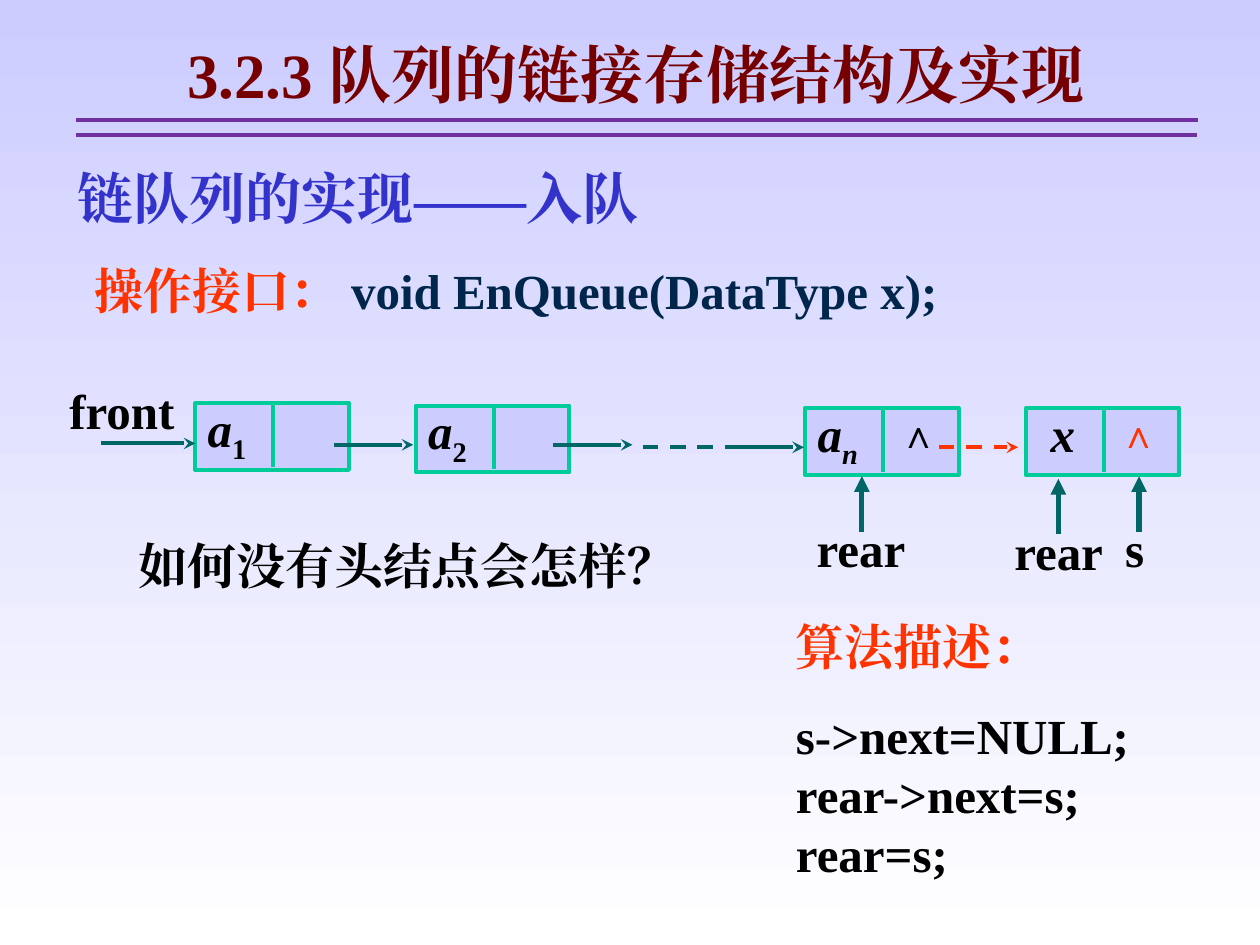
from dataclasses import dataclass

from lxml.etree import SubElement
from pptx import Presentation
from pptx.dml.color import RGBColor
from pptx.enum.dml import MSO_LINE_DASH_STYLE as Dash
from pptx.enum.shapes import MSO_CONNECTOR as Conn, MSO_SHAPE as Shape
from pptx.enum.text import MSO_ANCHOR as Anchor, PP_ALIGN as Align
from pptx.oxml.ns import qn
from pptx.util import Pt

FONT = "Times New Roman"
COLORS = {
    "lavender": "CCCCFF",
    "white": "FFFFFF",
    "green": "00CC99",
    "teal": "006666",
    "red": "FF3300",
    "black": "000000",
    "blue": "3333CC",
    "navy": "00264C",
    "maroon": "760000",
    "purple": "7030A0",
}
NODE_W, NODE_H, SPLIT_X, SPLIT_H = 87.8, 38.2, 44.6, 36.4


@dataclass
class Run:
    text: str
    color: str = "black"
    size: float = 28
    italic: bool = False
    sub: bool = False


@dataclass
class Para:
    runs: list[Run]
    before: float = 0
    spacing: float = 1
    align: Align = Align.LEFT


@dataclass
class Label:
    box: tuple[float, float, float, float]
    paras: list[Para]
    insets: tuple[float, float, float, float] = (7.2, 3.6, 7.2, 3.6)
    anchor: Anchor = Anchor.TOP


@dataclass
class Node:
    x: float
    y: float
    runs: list[Run]
    inset: float = 7.2
    spacing: float = 0.8


@dataclass
class Line:
    start: tuple[float, float]
    end: tuple[float, float]
    color: str = "teal"
    width: float = 2.25
    head: str = ""
    dashed: bool = False


def rgb(name: str) -> RGBColor:
    return RGBColor.from_string(COLORS[name])


def write(sp, paras: list[Para], insets: tuple, anchor: Anchor) -> None:
    tf = sp.text_frame
    tf.word_wrap = True
    tf.vertical_anchor = anchor
    tf.margin_left, tf.margin_top, tf.margin_right, tf.margin_bottom = map(Pt, insets)
    for i, para in enumerate(paras):
        p = tf.add_paragraph() if i else tf.paragraphs[0]
        p.alignment, p.line_spacing = para.align, para.spacing
        if para.before:
            p.space_before = Pt(para.before)
        for run in para.runs:
            r = p.add_run()
            r.text = run.text
            f = r.font
            f.name, f.size, f.bold, f.italic = FONT, Pt(run.size), True, run.italic
            f.color.rgb = rgb(run.color)
            rpr = r._r.get_or_add_rPr()
            SubElement(rpr, qn("a:ea")).set("typeface", FONT)
            if run.sub:
                rpr.set("baseline", "-25000")


def add_label(s, label: Label) -> None:
    sp = s.shapes.add_textbox(*map(Pt, label.box))
    write(sp, label.paras, label.insets, label.anchor)


def add_line(s, line: Line) -> None:
    sp = s.shapes.add_connector(Conn.STRAIGHT, *map(Pt, line.start + line.end))
    sp.line.color.rgb = rgb(line.color)
    sp.line.width = Pt(line.width)
    if line.dashed:
        sp.line.dash_style = Dash.DASH
    if line.head:
        SubElement(sp.line._get_or_add_ln(), qn("a:tailEnd")).set("type", line.head)
    SubElement(sp._element.spPr, qn("a:effectLst"))


def add_node(s, node: Node) -> None:
    sp = s.shapes.add_shape(Shape.RECTANGLE, *map(Pt, (node.x, node.y, NODE_W, NODE_H)))
    sp.shadow.inherit = False
    sp.fill.solid()
    sp.fill.fore_color.rgb = rgb("lavender")
    sp.line.color.rgb = rgb("green")
    sp.line.width = Pt(2.25)
    write(sp, [Para(node.runs, spacing=node.spacing)], (node.inset, 0, 0, 5.8), Anchor.MIDDLE)
    x = node.x + SPLIT_X
    add_line(s, Line((x, node.y), (x, node.y + SPLIT_H), "green"))


def add_pointer(s, text: str, x: float, y: float, width: float, arrow_x: float) -> None:
    para = Para([Run(text)], spacing=0.7, align=Align.JUSTIFY)
    add_label(s, Label((x, y, width, 25.2), [para], (0, 0, 0, 0), Anchor.BOTTOM))
    add_line(s, Line((arrow_x, y), (arrow_x, y - 31.7), width=3, head="triangle"))


def add_null(s, x: float, color: str) -> None:
    para = Para([Run("∧", color, 22.2)], spacing=0.9)
    add_label(s, Label((x, 233.3, 41, 35.3), [para], (7.2, 3.6, 7.2, 2.9)))


def element(index: str, italic: bool = False) -> list[Run]:
    return [Run("a", italic=True), Run(index, italic=italic, sub=True)]


LABELS = [
    Label((43.2, 16.6, 631.4, 50.4),
          [Para([Run("3.2.3 队列的链接存储结构及实现", "maroon", 36)], align=Align.CENTER)],
          (16.2, 3.6, 7.2, 3.6)),
    Label((37.4, 90, 486, 46.1), [Para([Run("链队列的实现——入队", "blue", 32)])]),
    Label((46.8, 145.4, 617, 41),
          [Para([Run("操作接口： ", "red"), Run("void EnQueue(DataType x);", "navy")])]),
    Label((39.6, 217.4, 68.4, 36.7), [Para([Run("front")])], (0, 0, 0, 2.9), Anchor.BOTTOM),
    Label((72, 302.4, 366.5, 41), [Para([Run("如何没有头结点会怎样？")])]),
    Label((447.8, 348.5, 257, 159.1), [
        Para([Run("算法描述：", "red")]),
        Para([Run("s->next=NULL;")], before=17.5),
        Para([Run("rear->next=s;")]),
        Para([Run("rear=s;")]),
    ]),
]
NODES = [
    Node(111.6, 230.4, element("1")),
    Node(237.6, 231.8, element("2")),
    Node(460.1, 233.3, element("n", True)),
    Node(586.1, 233.3, [Run("x", italic=True)], 14.2, 0.9),
]
LINES = [
    Line((43.2, 68.4), (684.7, 68.4), "purple"),
    Line((43.2, 77), (684, 77), "purple"),
    Line((57.6, 253.4), (111.6, 253.4), head="stealth"),
    Line((190.8, 254.2), (236.2, 254.2), head="stealth"),
    Line((316.1, 254.2), (361.4, 254.2), head="stealth"),
    Line((367.2, 255.6), (411.1, 255.6), dashed=True),
    Line((414, 255.6), (459.4, 255.6), head="stealth"),
    Line((536.4, 255.6), (581.8, 255.6), "red", head="stealth", dashed=True),
]


def main() -> None:
    prs = Presentation()
    prs.slide_width, prs.slide_height = Pt(720), Pt(540)
    s = prs.slides.add_slide(prs.slide_layouts[6])
    fill = s.background.fill
    fill.gradient()
    fill.gradient_angle = 270
    for stop, name in zip(fill.gradient_stops, ("lavender", "white")):
        stop.color.rgb = rgb(name)
    for node in NODES:
        add_node(s, node)
    for line in LINES:
        add_line(s, line)
    for label in LABELS:
        add_label(s, label)
    add_null(s, 506.9, "black")
    add_null(s, 632.9, "red")
    add_pointer(s, "rear", 466.6, 303.8, 61.2, 492.5)
    add_pointer(s, "rear", 579.6, 305.3, 61.2, 604.8)
    add_pointer(s, "s", 643, 303.8, 17.3, 650.9)
    prs.save("out.pptx")


if __name__ == "__main__":
    main()
